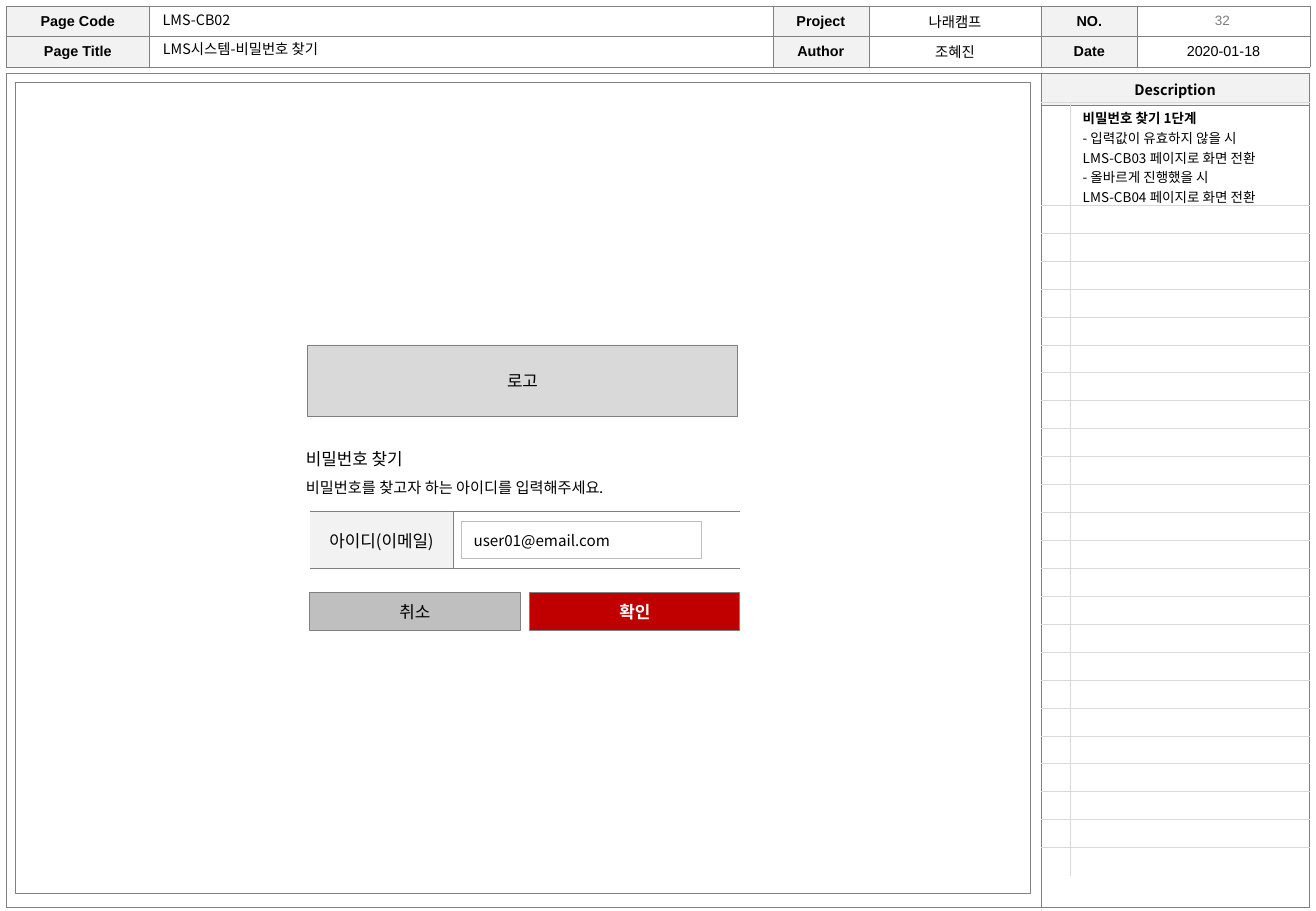
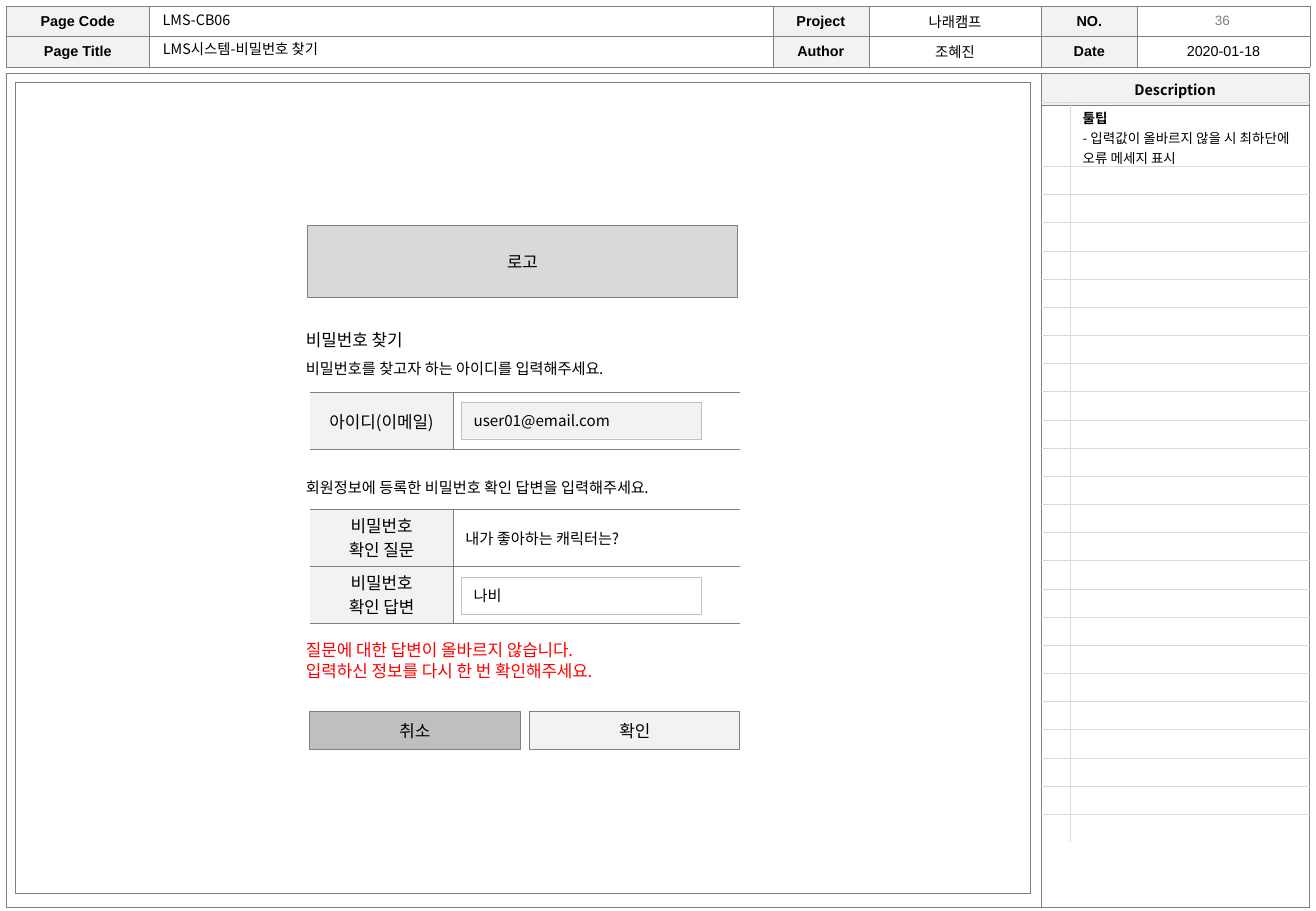
"""Build two wireframe pages for a password lookup screen."""
from dataclasses import dataclass
from typing import Any

from lxml import etree
from pptx import Presentation
from pptx.dml.color import RGBColor
from pptx.enum.shapes import MSO_SHAPE
from pptx.enum.text import MSO_ANCHOR, MSO_AUTO_SIZE, PP_ALIGN
from pptx.oxml.ns import qn
from pptx.util import Inches, Pt

RECT = MSO_SHAPE.RECTANGLE
LEFT, CENTER = PP_ALIGN.LEFT, PP_ALIGN.CENTER
TOP, MIDDLE = MSO_ANCHOR.TOP, MSO_ANCHOR.MIDDLE
FIXED = MSO_AUTO_SIZE.NONE

COLORS = {
    "black": "000000", "white": "FFFFFF", "line": "808080", "rule": "D9D9D9",
    "pale": "F2F2F2", "light": "D9D9D9", "gray": "BFBFBF", "dim": "7F7F7F",
    "brand": "C00000", "error": "FF0000",
}
SANS, LATIN = "Noto Sans CJK KR", "Arial"
PLAIN_GRID = "{2D5ABB26-0587-4C30-8999-92F81FD0307C}"
FORM_X, FORM_W, FORM_ROW = 2.55, 3.54, 0.47
FORM_COLS = [1.18, 2.36]
NOTE_ROWS, NOTE_LINE, NOTE_PAD = 25, 0.16, 0.05
HEAD = [
    ["Page Code", "", "Project", "나래캠프", "NO.", ""],
    ["Page Title", "", "Author", "조혜진", "Date", "2020-01-18"],
]


@dataclass(frozen=True)
class Box:
    x: float
    y: float
    w: float
    h: float

    def args(self) -> list[int]:
        return [Inches(v) for v in (self.x, self.y, self.w, self.h)]


@dataclass(frozen=True)
class Style:
    size: float = 10
    color: str = "black"
    bold: bool = False
    align: Any = LEFT
    font: str = SANS
    space: float = 1.0


@dataclass(frozen=True)
class Page:
    code: str
    number: str
    notes: list[str]
    lines: int
    depth: float
    top: float
    foot: float
    field: str
    submit: tuple[str, Style]


LABEL = Style(align=CENTER)
VALUE = Style(9)
INTRO = Style(9, space=1.5)
HEAD_STYLE = Style(8.5, bold=True, align=CENTER, font=LATIN)
HEAD_VALUE = Style(8.5, align=CENTER, font=LATIN)
META = Style(8.5)
NOTE = Style(8)
NOTE_HEAD = Style(8, bold=True)


def rgb(name: str) -> RGBColor:
    return RGBColor.from_string(COLORS[name])


def assign(target: Any, values: dict[str, Any]) -> None:
    for name, value in values.items():
        setattr(target, name, value)


def write(frame: Any, lines: list[tuple[str, Style]]) -> None:
    for i, (text, style) in enumerate(lines):
        para = frame.add_paragraph() if i else frame.paragraphs[0]
        assign(para, {"alignment": style.align, "line_spacing": style.space})
        run = para.add_run()
        run.text = text
        assign(run.font, {"size": Pt(style.size), "bold": style.bold, "name": style.font})
        run.font.color.rgb = rgb(style.color)
        etree.SubElement(run._r.get_or_add_rPr(), qn("a:ea"), typeface=SANS)


def label(slide: Any, box: Box, lines: list[tuple[str, Style]]) -> None:
    frame = slide.shapes.add_textbox(*box.args()).text_frame
    frame.word_wrap = True
    write(frame, lines)


def panel(slide: Any, box: Box, fill: str, line: str,
          text: str = "", style: Style = LABEL) -> None:
    shape = slide.shapes.add_shape(RECT, *box.args())
    shape.shadow.inherit = False
    shape.fill.solid()
    shape.fill.fore_color.rgb = rgb(fill)
    shape.line.color.rgb = rgb(line)
    shape.line.width = Pt(0.5)
    if text:
        shape.text_frame.vertical_anchor = MIDDLE
        write(shape.text_frame, [(text, style)])


def edge(cell: Any, sides: str, color: str, width: float) -> None:
    props = cell._tc.get_or_add_tcPr()
    for side in "LRTB":
        shown = side in sides
        line = etree.SubElement(props, qn(f"a:ln{side}"), w=str(Pt(width) if shown else 0))
        fill = etree.SubElement(line, qn("a:solidFill" if shown else "a:noFill"))
        if shown:
            etree.SubElement(fill, qn("a:srgbClr"), val=COLORS[color])


def grid(slide: Any, x: float, y: float, cols: list[float], rows: list[float]) -> Any:
    box = Box(x, y, sum(cols), sum(rows))
    table = slide.shapes.add_table(len(rows), len(cols), *box.args()).table
    assign(table, {"first_row": False, "horz_banding": False})
    table._tbl.tblPr.find(qn("a:tableStyleId")).text = PLAIN_GRID
    for col, width in zip(table.columns, cols):
        col.width = Inches(width)
    for row, height in zip(table.rows, rows):
        row.height = Inches(height)
    return table


def fill_cell(cell: Any, lines: list[tuple[str, Style]], fill: str = "",
              pad: float = 0.02, side: float = 0.05, anchor: Any = MIDDLE) -> None:
    assign(cell, {
        "margin_top": Inches(pad), "margin_bottom": Inches(pad),
        "margin_left": Inches(side), "margin_right": Inches(0.05),
        "vertical_anchor": anchor,
    })
    if fill:
        cell.fill.solid()
        cell.fill.fore_color.rgb = rgb(fill)
    else:
        cell.fill.background()
    if lines:
        write(cell.text_frame, lines)
    else:
        etree.SubElement(cell.text_frame.paragraphs[0]._p, qn("a:endParaRPr"), sz="800")


def draw_head(slide: Any, page: Page) -> None:
    body = grid(slide, 0.05, 0.6, [8.52, 2.2], [0.27, 6.6])
    for i, cell in enumerate(body.iter_cells()):
        edge(cell, "LRTB" if i % 2 else ("LRB" if i else "LRT"), "line", 0.25)
        title = i == 1
        text = [("Description", Style(8.5, bold=True, align=CENTER))] if title else []
        fill_cell(cell, text, "pale" if title else "")
    table = grid(slide, 0.05, 0.05, [1.18, 5.13, 0.79, 1.42, 0.79, 1.42], [0.25, 0.25])
    for r, row in enumerate(HEAD):
        for c, text in enumerate(row):
            cell = table.cell(r, c)
            edge(cell, "LRTB", "line", 0.25)
            style = HEAD_VALUE if c % 2 else HEAD_STYLE
            fill_cell(cell, [(text, style)] if text else [], "" if c % 2 else "pale", 0.04)
    label(slide, Box(9.35, 0.05, 1.42, 0.24),
          [(page.number, Style(8, "dim", align=CENTER, font=LATIN))])
    title = slide.shapes.title
    assign(title, dict(zip(("left", "top", "width", "height"),
                           Box(1.24, 0.28, 5.12, 0.24).args())))
    assign(title.text_frame, {"vertical_anchor": TOP, "auto_size": FIXED})
    write(title.text_frame, [("LMS시스템-비밀번호 찾기", META)])
    label(slide, Box(1.24, 0.04, 5.12, 0.24), [(page.code, META)])


def draw_notes(slide: Any, page: Page) -> None:
    first = NOTE_PAD + NOTE_LINE * page.lines
    rest = (page.depth - first) / (NOTE_ROWS - 1)
    table = grid(slide, 8.57, 0.84, [0.24, 1.97], [first] + [rest] * (NOTE_ROWS - 1))
    for r in range(NOTE_ROWS):
        for c, side in enumerate("RL"):
            cell = table.cell(r, c)
            edge(cell, side + ("T" if r == NOTE_ROWS - 1 else "TB"), "rule", 0.5)
            noted = r == 0 and c == 1
            lines = [(text, NOTE if i else NOTE_HEAD) for i, text in enumerate(page.notes)]
            fill_cell(cell, lines if noted else [], pad=0, side=0.1)
            if noted:
                cell.margin_top = Inches(NOTE_PAD)


def draw_form(slide: Any, y: float, items: list[tuple[list[str], str]]) -> None:
    table = grid(slide, FORM_X, y, FORM_COLS, [FORM_ROW] * len(items))
    for r, (names, value) in enumerate(items):
        name, reply = table.cell(r, 0), table.cell(r, 1)
        edge(name, "RTB", "line", 0.5)
        fill_cell(name, [(text, LABEL) for text in names], "pale")
        edge(reply, "LTB", "line", 0.5)
        fill_cell(reply, [(value, VALUE)] if value else [], side=0.1)


def draw_field(slide: Any, y: float, text: str, fill: str) -> None:
    panel(slide, Box(3.8, y, 1.97, 0.31), fill, "gray", text, VALUE)


def draw_page(slide: Any, page: Page) -> None:
    draw_head(slide, page)
    panel(slide, Box(0.13, 0.68, 8.35, 6.68), "white", "line")
    draw_notes(slide, page)
    panel(slide, Box(2.53, page.top, FORM_W, 0.59), "light", "line", "로고")
    label(slide, Box(2.42, page.top + 0.72, 3.5, 0.58),
          [("비밀번호 찾기", Style(space=1.5)),
           ("비밀번호를 찾고자 하는 아이디를 입력해주세요.", INTRO)])
    draw_form(slide, page.top + 1.37, [(["아이디(이메일)"], "")])
    draw_field(slide, page.top + 1.45, "user01@email.com", page.field)
    fill, style = page.submit
    panel(slide, Box(FORM_X, page.foot, 1.73, 0.31), "gray", "line", "취소")
    panel(slide, Box(FORM_X + 1.81, page.foot, 1.73, 0.31), fill, "line", "확인", style)


def draw_check(slide: Any) -> None:
    label(slide, Box(2.42, 3.81, 3.7, 0.33),
          [("회원정보에 등록한 비밀번호 확인 답변을 입력해주세요.", INTRO)])
    draw_form(slide, 4.19, [(["비밀번호", "확인 질문"], "내가 좋아하는 캐릭터는?"),
                            (["비밀번호", "확인 답변"], "")])
    draw_field(slide, 4.75, "나비", "white")
    alert = Style(color="error")
    label(slide, Box(2.42, 5.22, 3.53, 0.44),
          [("질문에 대한 답변이 올바르지 않습니다.", alert),
           ("입력하신 정보를 다시 한 번 확인해주세요.", alert)])


def main() -> None:
    deck = Presentation()
    assign(deck, {"slide_width": Inches(10.83), "slide_height": Inches(7.5)})
    find = Page("LMS-CB02", "32",
                ["비밀번호 찾기 1단계", "- 입력값이 유효하지 않을 시",
                 "LMS-CB03 페이지로 화면 전환", "- 올바르게 진행했을 시",
                 "LMS-CB04 페이지로 화면 전환"],
                5, 6.37, 2.84, 4.88, "white",
                ("brand", Style(color="white", bold=True, align=CENTER)))
    check = Page("LMS-CB06", "36",
                 ["툴팁", "- 입력값이 올바르지 않을 시 최하단에 오류 메세지 표시"],
                 3, 6.1, 1.86, 5.86, "pale", ("pale", LABEL))
    layout = deck.slide_layouts[5]
    draw_page(deck.slides.add_slide(layout), find)
    last = deck.slides.add_slide(layout)
    draw_page(last, check)
    draw_check(last)
    deck.save("out.pptx")


if __name__ == "__main__":
    main()
